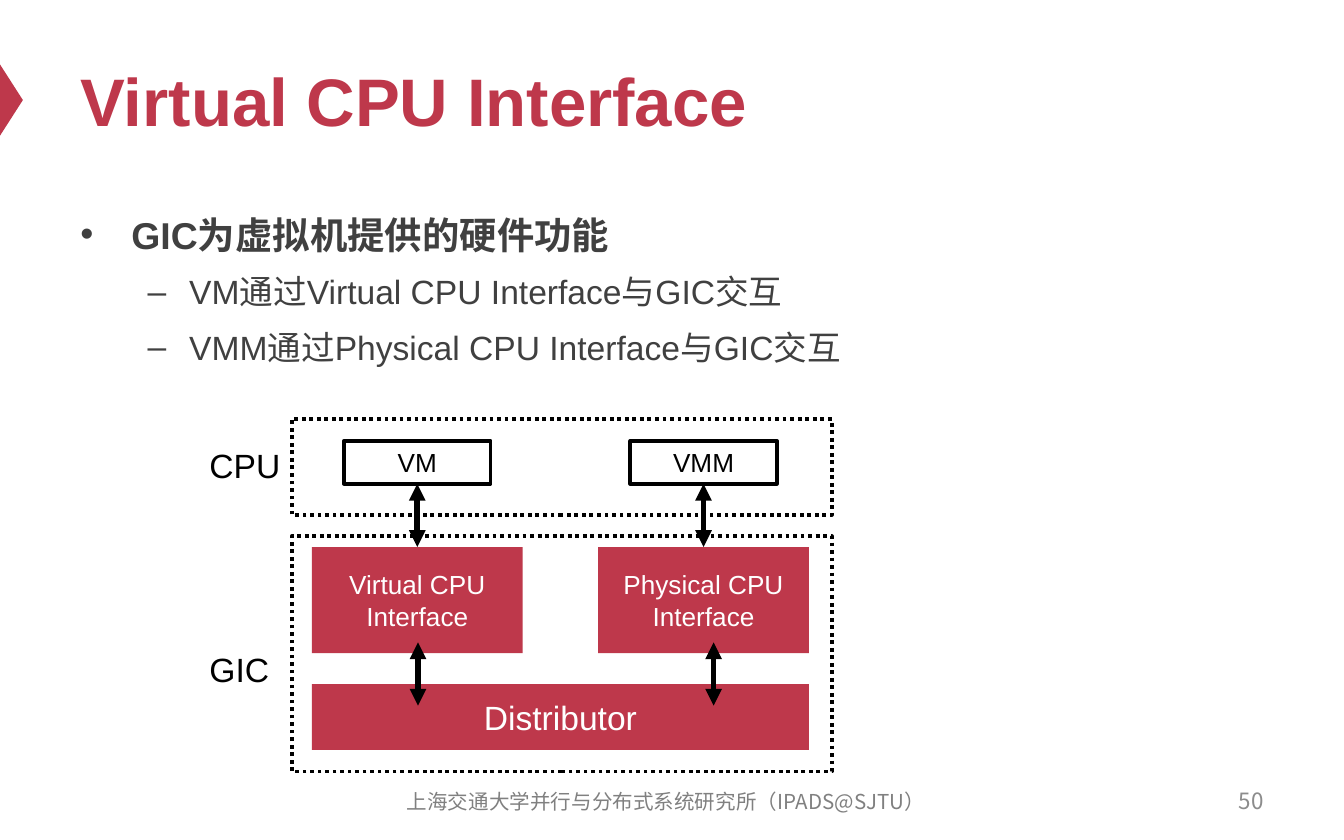
from lxml.etree import SubElement
from pptx import Presentation
from pptx.dml.color import RGBColor
from pptx.enum.dml import MSO_LINE
from pptx.enum.shapes import MSO_CONNECTOR as CONNECTOR, MSO_SHAPE as SHAPE
from pptx.enum.text import MSO_ANCHOR as ANCHOR, PP_ALIGN as ALIGN
from pptx.oxml.ns import qn
from pptx.util import Pt

PX = 9144
THEME = {
    "red": RGBColor(0xBE, 0x38, 0x4B),
    "black": RGBColor(0, 0, 0),
    "white": RGBColor(255, 255, 255),
    "body": RGBColor(0x40, 0x40, 0x40),
    "footer": RGBColor(0x80, 0x80, 0x80),
    "number": RGBColor(0x8C, 0x8C, 0x8C),
    "latin": "Arial",
    "cjk": "Noto Sans CJK SC",
    "title_size": Pt(36),
    "lead_size": Pt(20),
    "text_size": Pt(18),
    "block_size": Pt(14),
    "number_size": Pt(12),
    "footer_size": Pt(11),
    "frame_line": Pt(2),
    "arrow_line": Pt(3),
}


def write(frame, lines, color, size, font="latin", bold=False, align=ALIGN.LEFT):
    font_format = {"name": THEME[font], "size": THEME[size], "bold": bold}
    for index, line in enumerate(lines):
        para = frame.paragraphs[0] if index == 0 else frame.add_paragraph()
        para.alignment = align
        span = para.add_run()
        span.text = line
        for name, value in font_format.items():
            setattr(span.font, name, value)
        span.font.color.rgb = THEME[color]
        SubElement(span.font._element, qn("a:ea"), typeface=THEME[font])


def add_block(kind, bounds, fill=None, dash=None):
    block = slide.shapes.add_shape(kind, *(value * PX for value in bounds))
    block.shadow.inherit = False
    if fill:
        block.fill.solid()
        block.fill.fore_color.rgb = THEME[fill]
        block.line.fill.background()
    else:
        block.fill.background()
        block.line.color.rgb = THEME["black"]
        block.line.width = THEME["frame_line"]
        block.line.dash_style = dash
    block.text_frame.word_wrap = True
    block.text_frame.vertical_anchor = ANCHOR.MIDDLE
    return block


deck = Presentation()
deck.slide_width, deck.slide_height = 1000 * PX, 625 * PX
slide = deck.slides.add_slide(deck.slide_layouts[6])

marker = add_block(SHAPE.ISOSCELES_TRIANGLE, (-18, 66, 53, 17), "red")
marker.rotation = 90

texts = [
    ((50, 25, 900, 98), ANCHOR.MIDDLE, True, ["Virtual CPU Interface"],
     {"color": "red", "size": "title_size", "bold": True}),
    ((717, 579, 233, 33), ANCHOR.MIDDLE, True, ["50"],
     {"color": "number", "size": "number_size", "font": "cjk", "align": ALIGN.RIGHT}),
    ((279, 580, 433, 33), ANCHOR.MIDDLE, True, ["上海交通大学并行与分布式系统研究所（IPADS@SJTU）"],
     {"color": "footer", "size": "footer_size", "font": "cjk", "align": ALIGN.CENTER}),
    ((146, 326, 73, 40), ANCHOR.TOP, False, ["CPU"], {"color": "black", "size": "text_size"}),
    ((146, 478, 65, 40), ANCHOR.TOP, False, ["GIC"], {"color": "black", "size": "text_size"}),
]
for bounds, anchor, wrap, lines, text_format in texts:
    box = slide.shapes.add_textbox(*(value * PX for value in bounds))
    box.text_frame.word_wrap = wrap
    box.text_frame.vertical_anchor = anchor
    write(box.text_frame, lines, **text_format)

body = slide.shapes.add_textbox(50 * PX, 146 * PX, 900 * PX, 412 * PX).text_frame
body.word_wrap = True
write(body, ["GIC为虚拟机提供的硬件功能"], "body", "lead_size", bold=True)
for line in ("VM通过Virtual CPU Interface与GIC交互", "VMM通过Physical CPU Interface与GIC交互"):
    para = body.add_paragraph()
    para.level = 1
    para.space_before = Pt(3.6)
    span = para.add_run()
    span.text = line
    for name, value in {"name": THEME["latin"], "size": THEME["text_size"], "bold": False}.items():
        setattr(span.font, name, value)
    span.font.color.rgb = THEME["body"]
    SubElement(span.font._element, qn("a:ea"), typeface=THEME["latin"])
for para in body.paragraphs:
    para.line_spacing = 1.2
    margin, hanging, bullet = (81, 31, "–") if para.level else (38, 38, "•")
    properties = para._p.get_or_add_pPr()
    properties.set("marL", str(margin * PX))
    properties.set("indent", str(-hanging * PX))
    SubElement(properties, qn("a:buFont"), typeface=THEME["latin"])
    SubElement(properties, qn("a:buChar"), char=bullet)

for top, height in ((312, 71), (399, 175)):
    add_block(SHAPE.RECTANGLE, (217, top, 402, height), dash=MSO_LINE.ROUND_DOT)

distributor = add_block(SHAPE.RECTANGLE, (232, 509, 370, 49), "red")
write(distributor.text_frame, ["Distributor"], "white", "text_size", align=ALIGN.CENTER)

arrows = []
for column, (guest, kind, lower_x) in enumerate((("VM", "Virtual", 311), ("VMM", "Physical", 531))):
    shift = column * 213
    machine = add_block(SHAPE.RECTANGLE, (256 + shift, 328, 109, 32))
    write(machine.text_frame, [guest], "black", "block_size", align=ALIGN.CENTER)
    interface = add_block(SHAPE.RECTANGLE, (232 + shift, 407, 157, 79), "red")
    write(interface.text_frame, [f"{kind} CPU", "Interface"], "white", "block_size", align=ALIGN.CENTER)
    upper = slide.shapes.add_connector(CONNECTOR.STRAIGHT, 0, 0, 0, 0)
    upper.begin_connect(machine, 2)
    upper.end_connect(interface, 0)
    lower = slide.shapes.add_connector(
        CONNECTOR.STRAIGHT, lower_x * PX, 478 * PX, lower_x * PX, 525 * PX)
    arrows += [upper, lower]

for arrow in arrows:
    arrow.line.color.rgb = THEME["black"]
    arrow.line.width = THEME["arrow_line"]
    for end in ("a:headEnd", "a:tailEnd"):
        SubElement(arrow.line._get_or_add_ln(), qn(end), type="triangle")
    SubElement(arrow._element.spPr, qn("a:effectLst"))

deck.save("out.pptx")
